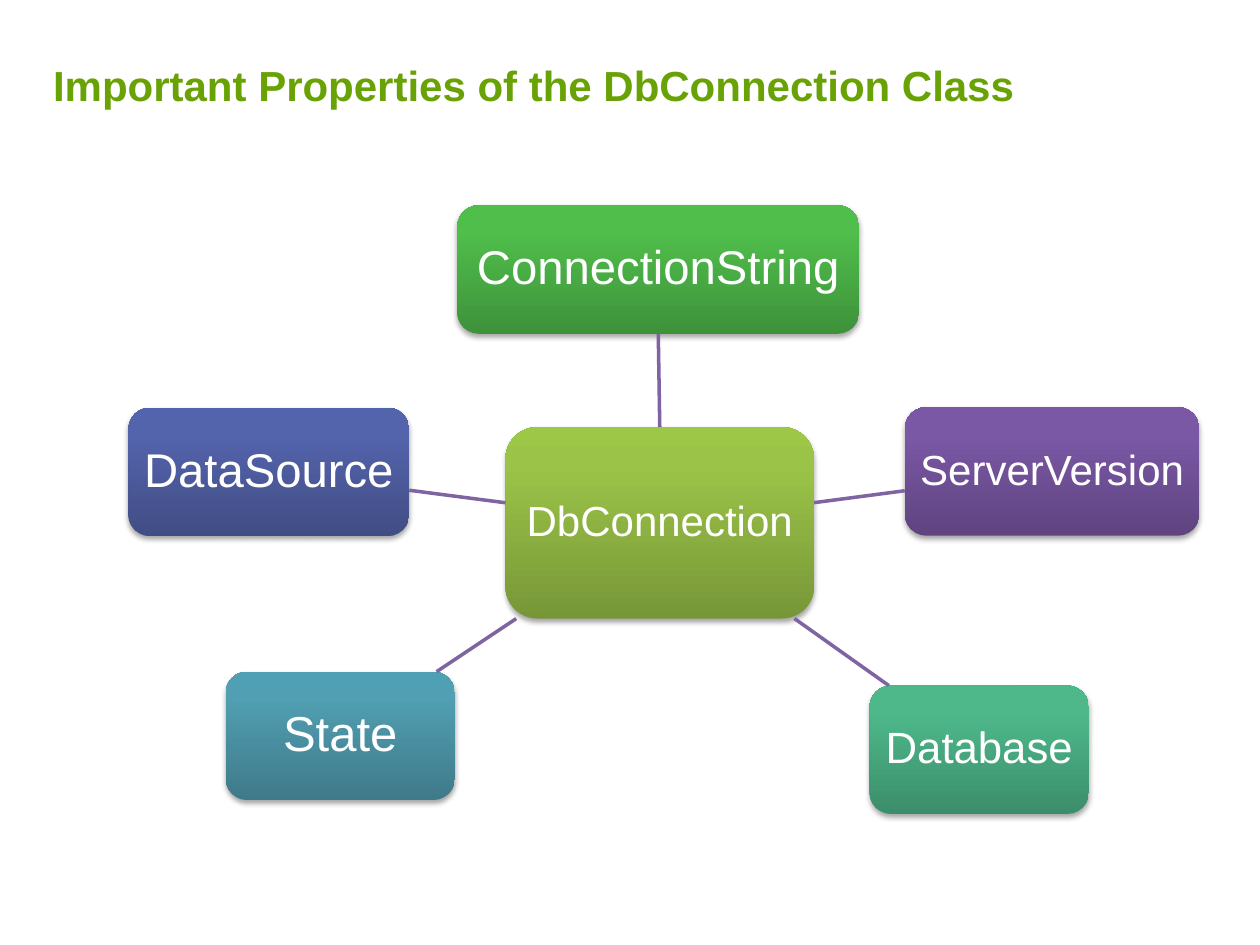
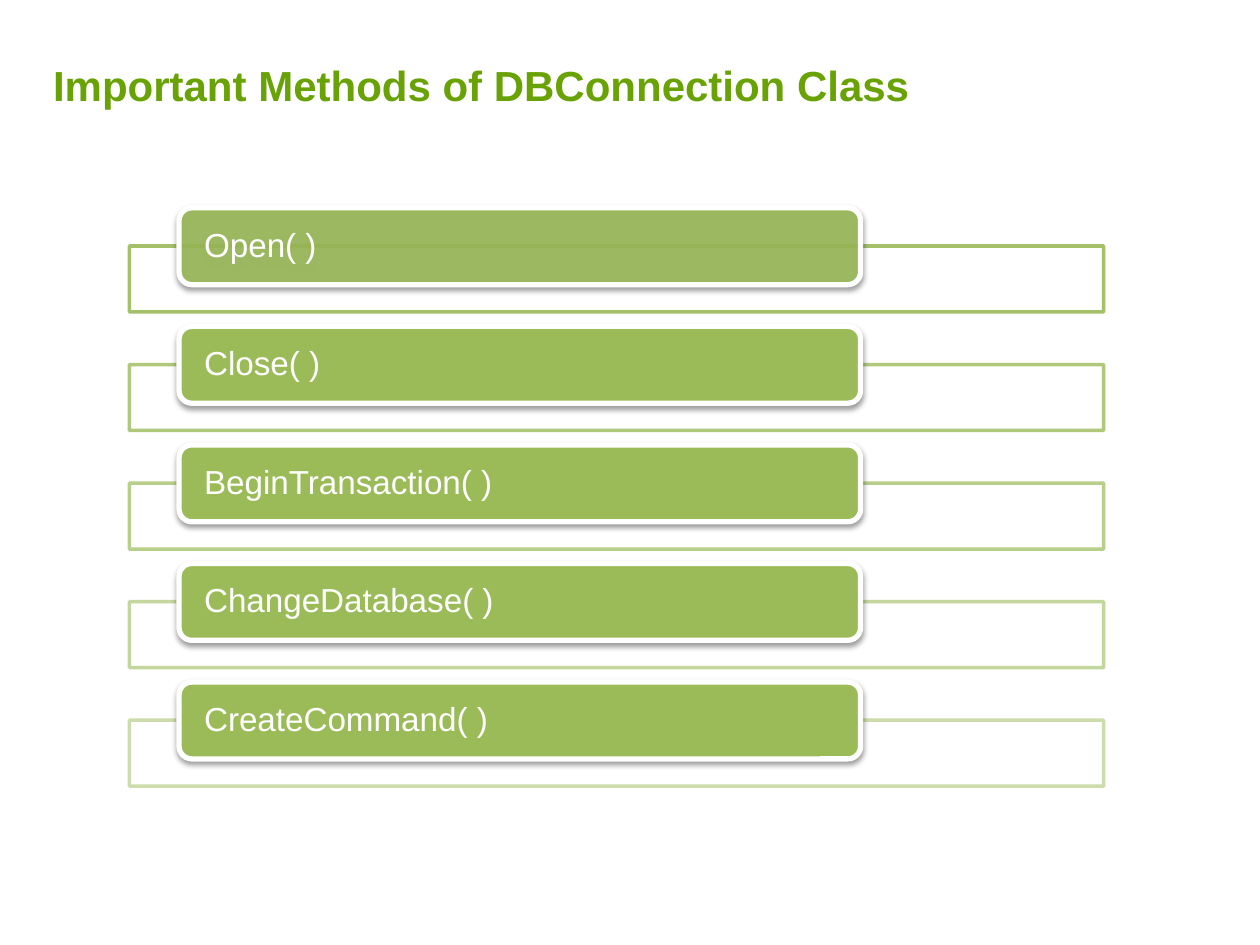
from dataclasses import dataclass

import pptx
import pptx.dml.color
import pptx.enum.shapes
import pptx.enum.text
import pptx.oxml.ns
import pptx.util
from lxml import etree
from pptx.util import Cm

SHAPE = pptx.enum.shapes.MSO_SHAPE
ALIGN = pptx.enum.text.PP_ALIGN
ANCHOR = pptx.enum.text.MSO_ANCHOR


@dataclass(frozen=True)
class Theme:
    font: str = "Arial"
    title: str = "69A205"
    white: str = "FFFFFF"
    bar: str = "9BBB59"
    link: str = "8064A2"
    shadow: str = "000000"
    title_size: int = 24
    bar_size: int = 19
    thin: int = 2
    thick: int = 3


def rgb(color):
    return pptx.dml.color.RGBColor.from_string(color)


def find_child(element, *tags):
    for tag in tags:
        element = element.find(pptx.oxml.ns.qn(tag))
    return element


def add_child(parent, tag, **attributes):
    child = etree.SubElement(parent, pptx.oxml.ns.qn(tag))
    for name, value in attributes.items():
        child.set(name, str(value))
    return child


def paint(fill, color):
    fill.solid()
    fill.fore_color.rgb = rgb(color)


def set_opacity(element, percent):
    """Make the solid colour held directly by a fill or line element translucent."""
    color = find_child(element, "a:solidFill", "a:srgbClr")
    add_child(color, "a:alpha", val=percent * 1000)


def center(shape):
    return shape.left + shape.width / 2, shape.top + shape.height / 2


def edge_point(shape, target):
    """Where the line from the shape's centre to the target's centre leaves the shape."""
    (x, y), (target_x, target_y) = center(shape), center(target)
    dx, dy = target_x - x, target_y - y
    scale = 0.5 / max(abs(dx) / shape.width, abs(dy) / shape.height)
    return round(x + dx * scale), round(y + dy * scale)


class SlideBuilder:
    def __init__(self, deck, theme):
        self.deck = deck
        self.theme = theme
        self.slide = None

    def start_slide(self, title):
        self.slide = self.deck.slides.add_slide(self.deck.slide_layouts[6])
        box = self.slide.shapes.add_textbox(Cm(1.07), Cm(0.89), Cm(23.22), Cm(1.45))
        self.add_text(box, title, self.theme.title_size, self.theme.title,
                      margins=(0, 0, 0, 0.13), anchor=ANCHOR.BOTTOM, bold=True)

    def add_text(self, shape, text, size, color, margins, align=ALIGN.LEFT,
                 anchor=ANCHOR.MIDDLE, bold=False, wrap=True, line_spacing=1.0):
        frame = shape.text_frame
        frame.word_wrap = wrap
        frame.vertical_anchor = anchor
        (frame.margin_left, frame.margin_top,
         frame.margin_right, frame.margin_bottom) = map(Cm, margins)
        para = frame.paragraphs[0]
        para.alignment = align
        para.line_spacing = line_spacing
        span = para.add_run()
        span.text = text
        span.font.name = self.theme.font
        span.font.size = pptx.util.Pt(size)
        span.font.bold = bold
        span.font.color.rgb = rgb(color)

    def add_box(self, kind, left, top, width, height):
        box = self.slide.shapes.add_shape(kind, Cm(left), Cm(top), Cm(width), Cm(height))
        box.shadow.inherit = False
        box.line.fill.background()
        return box

    def add_shadow(self, shape, distance, opacity):
        effects = find_child(shape._element.spPr, "a:effectLst")
        shadow = add_child(effects, "a:outerShdw", blurRad=pptx.util.Pt(3.1),
                           dist=pptx.util.Pt(distance), dir=5400000, rotWithShape=0)
        color = add_child(shadow, "a:srgbClr", val=self.theme.shadow)
        add_child(color, "a:alpha", val=opacity * 1000)

    def outline(self, shape, color, width):
        paint(shape.line.fill, color)
        shape.line.width = pptx.util.Pt(width)

    def add_node(self, text, left, top, width, height, size, shades):
        """Rounded box shaded from the first colour at the bottom to the last at the top."""
        node = self.add_box(SHAPE.ROUNDED_RECTANGLE, left, top, width, height)
        node.fill.gradient()
        node.fill.gradient_angle = 90
        stop_list = find_child(node._element.spPr, "a:gradFill", "a:gsLst")
        add_child(stop_list, "a:gs", pos=100000)
        for stop, position, shade in zip(node.fill.gradient_stops, (0, 0.8, 1), shades):
            stop.position = position
            stop.color.rgb = rgb(shade)
        self.add_shadow(node, 1.8, 35)
        self.add_text(node, text, size, self.theme.white, margins=(0.18,) * 4,
                      align=ALIGN.CENTER, wrap=False, line_spacing=0.9)
        return node

    def link(self, hub, node, sides=None):
        """Line between two boxes, joined to the given side numbers if there are any."""
        line = self.slide.shapes.add_connector(
            pptx.enum.shapes.MSO_CONNECTOR.STRAIGHT,
            *edge_point(hub, node), *edge_point(node, hub))
        if sides:
            line.begin_connect(hub, sides[0])
            line.end_connect(node, sides[1])
        self.outline(line, self.theme.link, self.theme.thin)
        add_child(line._element.spPr, "a:effectLst")

    def add_frame(self, left, top, width, height, line_opacity):
        frame = self.add_box(SHAPE.RECTANGLE, left, top, width, height)
        paint(frame.fill, self.theme.white)
        self.outline(frame, self.theme.bar, self.theme.thin)
        set_opacity(frame._element.spPr, 90)
        set_opacity(find_child(frame._element.spPr, "a:ln"), line_opacity)

    def add_bar(self, text, left, top, width, height, opacity):
        bar = self.add_box(SHAPE.ROUNDED_RECTANGLE, left, top, width, height)
        paint(bar.fill, self.theme.bar)
        self.outline(bar, self.theme.white, self.theme.thick)
        if opacity < 100:
            set_opacity(bar._element.spPr, opacity)
        self.add_shadow(bar, 1.6, 38)
        self.add_text(bar, text, self.theme.bar_size, self.theme.white,
                      margins=(0.43, 0, 0.43, 0), line_spacing=0.9)


def build_properties(builder):
    builder.start_slide("Important Properties of the DbConnection Class")
    hub = builder.add_node("DbConnection", 10.19, 8.61, 6.22, 3.86, 24,
                           ("779737", "9BC348", "9DC746"))
    node_height = 2.59
    top_node_sides = (0, 2)
    properties = (
        ("ConnectionString", 9.22, 4.14, 8.1, 27, ("3E923A", "50BE4B", "4FC149"), top_node_sides),
        ("Database", 17.53, 13.82, 4.42, 25, ("3C8E6B", "4EB88B", "4CBB8C"), None),
        ("State", 4.55, 13.54, 4.62, 28, ("3F7A89", "519FB2", "50A0B5"), None),
        ("DataSource", 2.59, 8.22, 5.66, 27, ("414D85", "5464AC", "5363AF"), None),
        ("ServerVersion", 18.24, 8.21, 5.94, 24, ("5F4480", "7B58A6", "7C57A8"), None),
    )
    for name, left, top, width, size, shades, sides in properties:
        node = builder.add_node(name, left, top, width, node_height, size, shades)
        builder.link(hub, node, sides)


def build_methods(builder):
    builder.start_slide("Important Methods of DBConnection Class")
    methods = ("Open( )", "Close( )", "BeginTransaction( )",
               "ChangeDatabase( )", "CreateCommand( )")
    pitch = 2.39
    for row, method in enumerate(methods):
        offset = row * pitch
        builder.add_frame(2.61, 4.96 + offset, 19.64, 1.33, line_opacity=90 - 10 * row)
        builder.add_bar(method, 3.61, 4.19 + offset, 13.74, 1.55,
                        opacity=90 if row == 0 else 100)


def main():
    deck = pptx.Presentation()
    deck.slide_width, deck.slide_height = Cm(25.4), Cm(19.05)
    builder = SlideBuilder(deck, Theme())
    build_properties(builder)
    build_methods(builder)
    deck.save("out.pptx")


if __name__ == "__main__":
    main()
